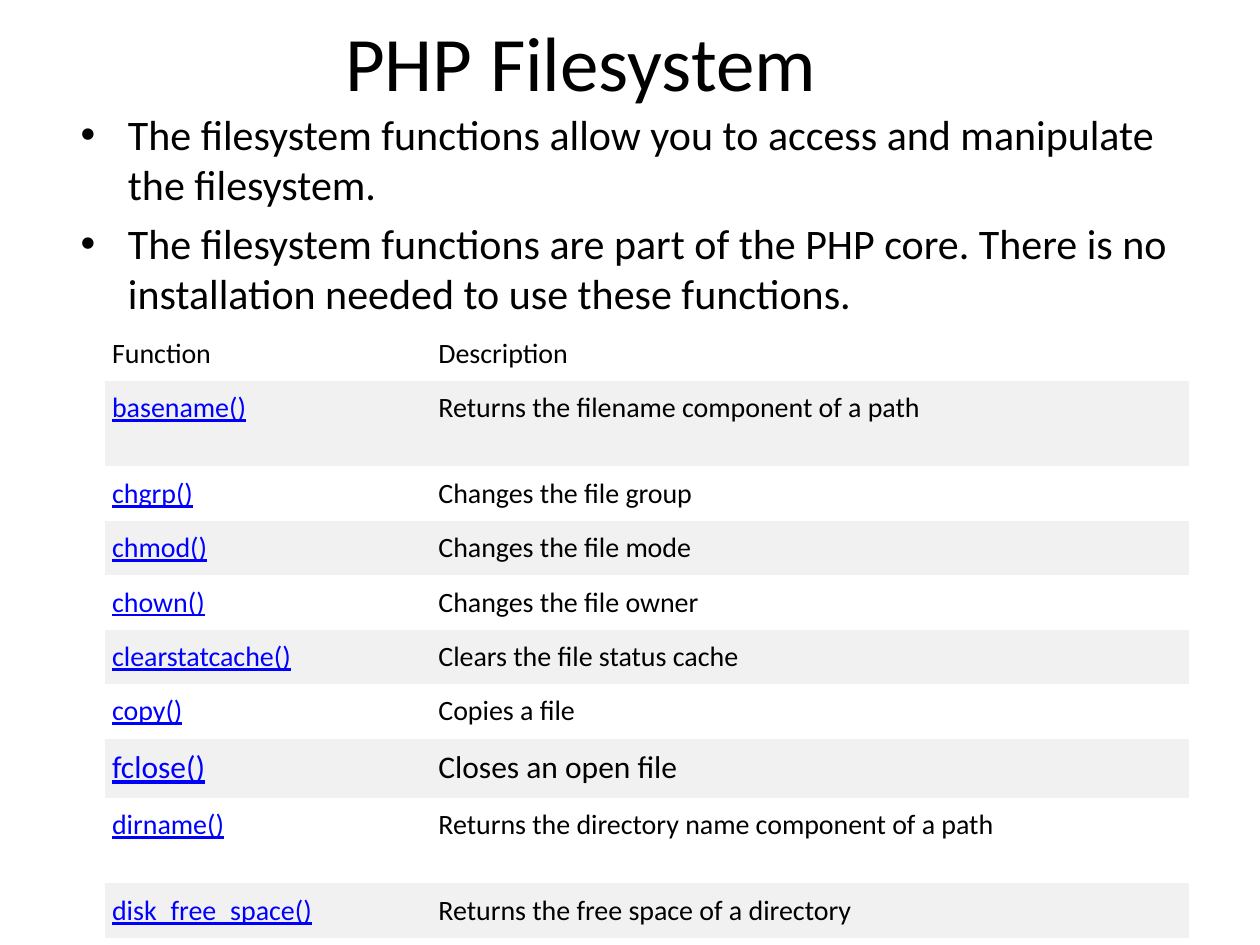
from dataclasses import dataclass

from pptx import Presentation
from pptx.dml.color import RGBColor
from pptx.enum.text import MSO_ANCHOR, MSO_AUTO_SIZE, PP_ALIGN
from pptx.oxml.ns import qn
from pptx.util import Inches, Pt

CENTER = PP_ALIGN.CENTER
MIDDLE = MSO_ANCHOR.MIDDLE
NO_AUTOFIT = MSO_AUTO_SIZE.NONE
FONT = "Calibri"
COLORS = {"text": "000000", "link": "0000FF", "plain": "FFFFFF", "band": "F1F1F1"}
PLAIN_TABLE_STYLE = "{2D5ABB26-0587-4C30-8999-92F81FD0307C}"


@dataclass
class FunctionRow:
    name: str
    description: str
    height: float = 0.42
    size: int = 16
    name_color: str = "link"


BULLETS = [
    "The filesystem functions allow you to access and manipulate the filesystem.",
    "The filesystem functions are part of the PHP core. "
    "There is no installation needed to use these functions.",
]
ROWS = [
    FunctionRow("Function", "Description", name_color="text"),
    FunctionRow("basename()", "Returns the filename component of a path", 0.68),
    FunctionRow("chgrp()", "Changes the file group"),
    FunctionRow("chmod()", "Changes the file mode"),
    FunctionRow("chown()", "Changes the file owner"),
    FunctionRow("clearstatcache()", "Clears the file status cache"),
    FunctionRow("copy()", "Copies a file"),
    FunctionRow("fclose()", "Closes an open file", 0.47, 18),
    FunctionRow("dirname()", "Returns the directory name component of a path", 0.68),
    FunctionRow("disk_free_space()", "Returns the free space of a directory"),
]
COLUMN_WIDTHS = [2.59, 6.02]


def add_span(para, text: str, size: int, color: str = "text") -> None:
    span = para.add_run()
    span.text = text
    span.font.name = FONT
    span.font.size = Pt(size)
    span.font.color.rgb = RGBColor.from_string(COLORS[color])
    span.font.underline = color == "link"


def place(box, left: float, top: float, width: float, height: float) -> None:
    box.left, box.top = Inches(left), Inches(top)
    box.width, box.height = Inches(width), Inches(height)
    box.text_frame.auto_size = NO_AUTOFIT


def fill_cell(cell, text: str, size: int, color: str, fill: str) -> None:
    cell.margin_left = cell.margin_right = Inches(0.06)
    cell.margin_top = cell.margin_bottom = Inches(0.08)
    cell.fill.solid()
    cell.fill.fore_color.rgb = RGBColor.from_string(COLORS[fill])
    add_span(cell.text_frame.paragraphs[0], text, size, color)


deck = Presentation()
deck.slide_width, deck.slide_height = Inches(10), Inches(7.5)
page = deck.slides.add_slide(deck.slide_layouts[1])

# Title
title = page.shapes.title
place(title, 0.55, 0, 8.12, 0.97)
title.text_frame.vertical_anchor = MIDDLE
title_para = title.text_frame.paragraphs[0]
title_para.alignment = CENTER
add_span(title_para, "PHP Filesystem", 44)

# Bulleted introduction
body = page.placeholders[1]
place(body, 0.54, 0.81, 9.18, 6.53)
for index, bullet in enumerate(BULLETS):
    frame = body.text_frame
    para = frame.add_paragraph() if index else frame.paragraphs[0]
    add_span(para, bullet, 24)

# Function table with alternating bands
table = page.shapes.add_table(
    len(ROWS), len(COLUMN_WIDTHS), Inches(0.83), Inches(2.59),
    Inches(sum(COLUMN_WIDTHS)), Inches(sum(row.height for row in ROWS)),
).table
table.first_row = table.horz_banding = False
table._tbl.tblPr.find(qn("a:tableStyleId")).text = PLAIN_TABLE_STYLE
for column, width in zip(table.columns, COLUMN_WIDTHS):
    column.width = Inches(width)
for index, row in enumerate(ROWS):
    table.rows[index].height = Inches(row.height)
    fill = "band" if index % 2 else "plain"
    fill_cell(table.cell(index, 0), row.name, row.size, row.name_color, fill)
    fill_cell(table.cell(index, 1), row.description, row.size, "text", fill)

deck.save("out.pptx")
